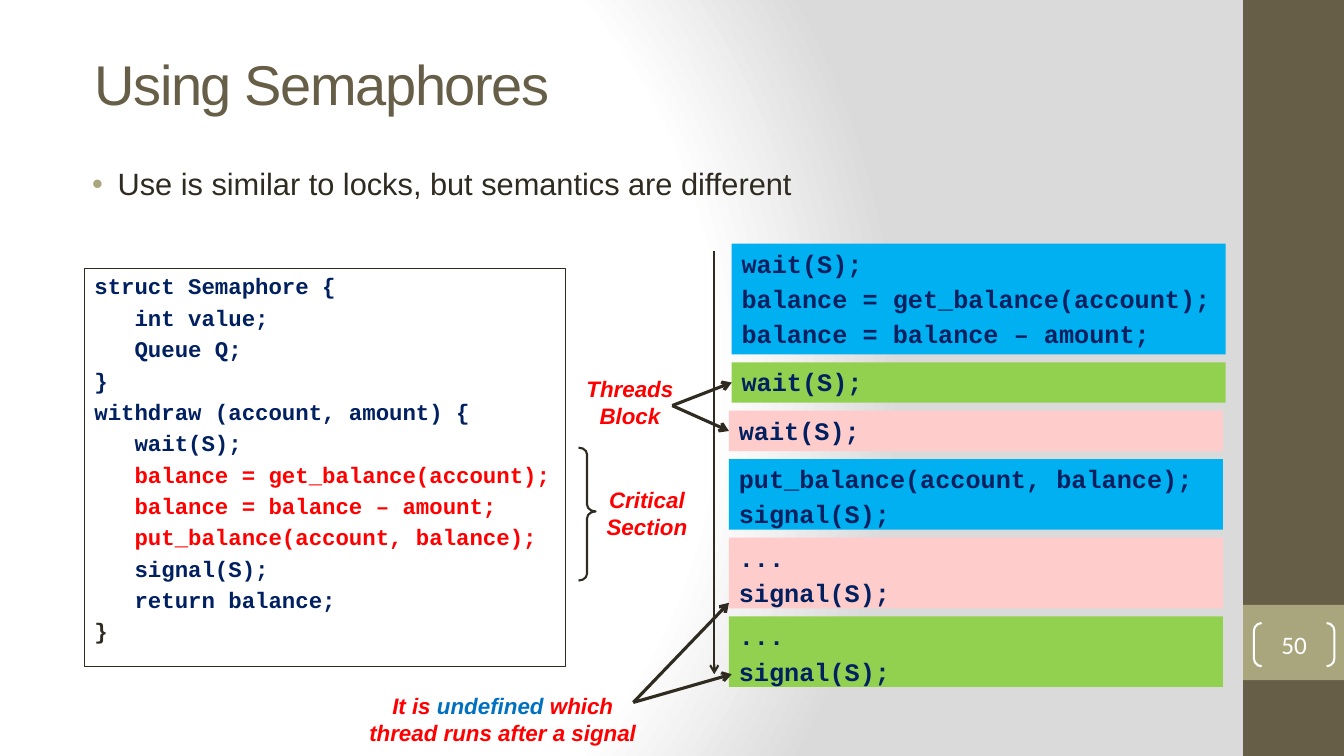
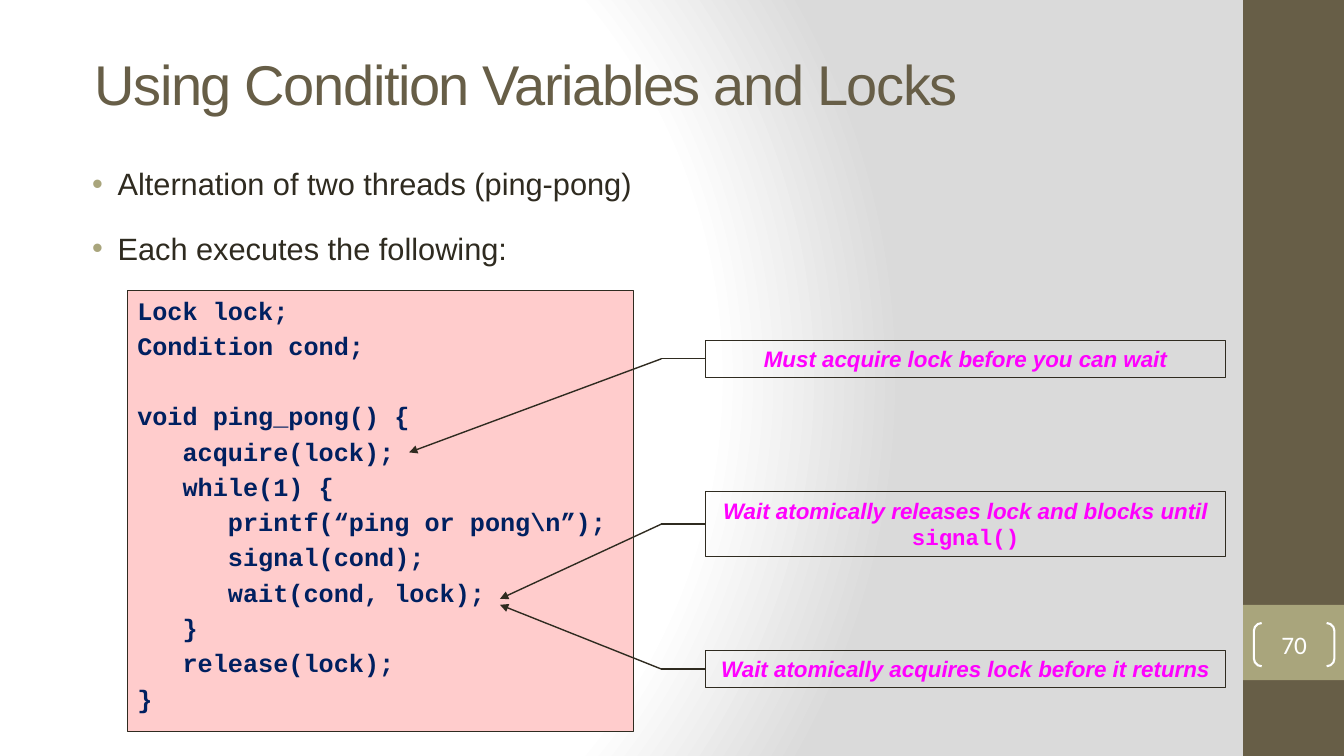
from dataclasses import dataclass
from typing import Optional

from lxml.etree import SubElement
from pptx import Presentation
from pptx.dml.color import RGBColor
from pptx.enum.shapes import MSO_CONNECTOR, MSO_SHAPE
from pptx.enum.text import MSO_ANCHOR as Anchor, MSO_AUTO_SIZE as AutoSize, PP_ALIGN as Align
from pptx.oxml import parse_xml
from pptx.oxml.ns import nsdecls, qn
from pptx.util import Cm, Pt

# Shared look
INK, BROWN, SAND, NAVY = "2F2B20", "675E47", "A9A57C", "002060"
RED, BLUE, MAGENTA, WHITE = "FF0000", "0070C0", "FF00FF", "FFFFFF"
SKY, GREEN, PINK = "00B0F0", "92D050", "FFCCCC"
SANS, MONO = "Arial", "Courier New"
LEFT_SIDE = 1

BACKGROUND = f"""<p:bg {nsdecls("p", "a")}><p:bgPr><a:gradFill rotWithShape="1"><a:gsLst>
<a:gs pos="0"><a:srgbClr val="FFFFFF"/></a:gs>
<a:gs pos="75000"><a:srgbClr val="FFFFFF"/></a:gs>
<a:gs pos="100000"><a:srgbClr val="DADADA"/></a:gs></a:gsLst>
<a:path path="circle"><a:fillToRect l="20000" t="50000" r="100000" b="50000"/></a:path>
</a:gradFill><a:effectLst/></p:bgPr></p:bg>"""


@dataclass(frozen=True)
class Box:
    """A rectangle in centimetres."""
    left: float
    top: float
    width: float
    height: float

    def lengths(self) -> tuple:
        return Cm(self.left), Cm(self.top), Cm(self.width), Cm(self.height)


@dataclass(frozen=True)
class CodeLines:
    """Consecutive lines of code in one colour."""
    lines: tuple
    color: str = NAVY


@dataclass(frozen=True)
class Span:
    """A piece of a note that may differ from the rest."""
    text: str
    color: Optional[str] = None
    font: Optional[str] = None
    italic: Optional[bool] = None


@dataclass(frozen=True)
class Step:
    """One thread's turn in the timeline."""
    left: float
    height: float
    fill: str
    lines: tuple


@dataclass(frozen=True)
class Callout:
    """A framed note and the point in the code it explains."""
    top: float
    height: float
    spans: tuple
    target: tuple


def rgb(color: str) -> RGBColor:
    return RGBColor.from_string(color)


def style_font(font, name: str, size: float, color: str, bold=None, italic=None) -> None:
    font.name, font.size, font.bold, font.italic = name, Pt(size), bold, italic
    font.color.rgb = rgb(color)


def add_box(slide, preset, box: Box, fill: Optional[str] = None,
            line: Optional[str] = None, line_width: float = 0.75):
    shape = slide.shapes.add_shape(preset, *box.lengths())
    shape.shadow.inherit = False
    if fill:
        shape.fill.solid()
        shape.fill.fore_color.rgb = rgb(fill)
    else:
        shape.fill.background()
    if line:
        shape.line.color.rgb = rgb(line)
        shape.line.width = Pt(line_width)
    else:
        shape.line.fill.background()
    return shape


def add_line(slide, start: tuple, end: tuple, width: float, arrow: Optional[str] = None):
    connector = slide.shapes.add_connector(
        MSO_CONNECTOR.STRAIGHT, *(Cm(value) for value in (*start, *end)))
    connector.line.color.rgb = rgb(INK)
    connector.line.width = Pt(width)
    properties = connector.element.find(qn("p:spPr"))
    if arrow:
        SubElement(properties.find(qn("a:ln")), qn("a:tailEnd"), type=arrow)
    SubElement(properties, qn("a:effectLst"))
    return connector


def add_code(slide, box: Box, size: float, parts: tuple,
             fill: Optional[str] = None, line: Optional[str] = None):
    shape = add_box(slide, MSO_SHAPE.RECTANGLE, box, fill, line)
    frame = shape.text_frame
    frame.word_wrap, frame.vertical_anchor = True, Anchor.TOP
    frame.margin_top = Cm(0.11)
    line_gap = size * 0.2
    line_pitch = size * 1.4
    paragraph, space = None, 0
    for part in parts:
        for text in part.lines:
            if not text:  # an empty line becomes space above the next one
                space += line_pitch
                continue
            paragraph = frame.add_paragraph() if paragraph else frame.paragraphs[0]
            paragraph.alignment = Align.LEFT
            paragraph.space_before = Pt(space)
            paragraph.add_run().text = text
            style_font(paragraph.font, MONO, size, part.color, bold=True)
            space = line_gap
    return shape


def add_note(slide, box: Box, spans: tuple, color: str, line: Optional[str] = None):
    if line:
        shape = add_box(slide, MSO_SHAPE.RECTANGLE, box, line=line)
    else:
        shape = slide.shapes.add_textbox(*box.lengths())
    frame = shape.text_frame
    frame.word_wrap, frame.vertical_anchor = True, Anchor.TOP
    paragraph = frame.paragraphs[0]
    paragraph.alignment = Align.CENTER
    style_font(paragraph.font, SANS, 16, color, bold=True, italic=True)
    for span in spans:
        run = paragraph.add_run()
        run.text = span.text
        if span.color:
            run.font.color.rgb = rgb(span.color)
        if span.font:
            run.font.name = span.font
        if span.italic is not None:
            run.font.italic = span.italic
    return shape


def fill_title(title, text: str) -> None:
    title.left, title.top, title.width, title.height = Box(2.13, 1.53, 27.71, 1.14).lengths()
    frame = title.text_frame
    frame.text = text
    frame.auto_size, frame.vertical_anchor = AutoSize.NONE, Anchor.MIDDLE
    paragraph = frame.paragraphs[0]
    paragraph.alignment = Align.LEFT
    style_font(paragraph.font, SANS, 40, BROWN)
    next(title.element.iter(qn("a:defRPr"))).set("spc", "-100")


def fill_bullets(body, bullets: tuple, height: float) -> None:
    body.left, body.top, body.width, body.height = Box(1.76, 4.04, 29.06, height).lengths()
    frame = body.text_frame
    frame.text = "\n".join(bullets)
    frame.auto_size, frame.vertical_anchor = AutoSize.NONE, Anchor.TOP
    frame.margin_top = Cm(0.12)
    for index, paragraph in enumerate(frame.paragraphs):
        properties = paragraph._p.get_or_add_pPr()
        properties.set("marL", str(Cm(0.95)))
        properties.set("indent", str(-Cm(0.64)))
        SubElement(SubElement(properties, qn("a:buClr")), qn("a:srgbClr"), val=SAND)
        SubElement(properties, qn("a:buChar"), char="•")
        paragraph.alignment = Align.LEFT
        paragraph.space_before = Pt(19.5 if index else 0)
        style_font(paragraph.font, SANS, 22, INK)


def add_page(presentation, title: str, bullets: tuple, body_height: float, number: int):
    """Add a slide with side band, page number, title and bullets."""
    slide = presentation.slides.add_slide(presentation.slide_layouts[1])
    add_box(slide, MSO_SHAPE.RECTANGLE, Box(31.33, 0, 2.54, 19.05), BROWN)
    add_box(slide, MSO_SHAPE.RECTANGLE, Box(31.33, 15.24, 2.54, 1.9), SAND)
    bracket = add_box(slide, MSO_SHAPE.DOUBLE_BRACKET, Box(31.6, 15.7, 2.03, 1.09),
                      line=WHITE, line_width=1.5)
    bracket.adjustments[0] = 0.18
    frame = bracket.text_frame
    frame.margin_left = frame.margin_top = frame.margin_right = frame.margin_bottom = 0
    frame.text = str(number)
    frame.paragraphs[0].alignment = Align.CENTER
    style_font(frame.paragraphs[0].font, "Calibri", 18, WHITE)
    fill_title(slide.shapes.title, title)
    fill_bullets(slide.placeholders[1], bullets, body_height)
    return slide


def build_semaphores(presentation) -> None:
    slide = add_page(presentation, "Using Semaphores",
                     ("Use is similar to locks, but semantics are different",), 1.35, 50)
    add_code(slide, Box(2.13, 6.76, 12.12, 10.03), 16, (
        CodeLines(("struct Semaphore {", "   int value;", "   Queue Q;", "}",
                   "withdraw (account, amount) {", "   wait(S);")),
        CodeLines(("   balance = get_balance(account);", "   balance = balance – amount;",
                   "   put_balance(account, balance);"), RED),
        CodeLines(("   signal(S);", "   return balance;")),
        CodeLines(("}",), INK)), line=INK)

    # Critical section
    brace = add_box(slide, MSO_SHAPE.RIGHT_BRACE, Box(14.58, 11.28, 0.43, 3.35),
                    line=INK, line_width=1.5)
    brace.adjustments[0], brace.adjustments[1] = 0.4, 0.48
    add_note(slide, Box(14.78, 12.12, 3.05, 1.63), (Span("Critical Section"),), RED)

    # Timeline of the three threads, stacked with equal gaps
    add_line(slide, (18, 6.32), (18, 16.99), 1.5, "arrow")
    steps = (
        Step(18.44, 2.79, SKY, ("wait(S);", "balance = get_balance(account);",
                                "balance = balance – amount;")),
        Step(18.44, 1.02, GREEN, ("wait(S);",)),
        Step(18.37, 1.02, PINK, ("wait(S);",)),
        Step(18.37, 1.78, SKY, ("put_balance(account, balance);", "signal(S);")),
        Step(18.37, 1.78, PINK, ("...", "signal(S);")),
        Step(18.37, 1.78, GREEN, ("...", "signal(S);")),
    )
    top, step_shapes = 6.14, []
    for step in steps:
        step_shapes.append(add_code(slide, Box(step.left, top, 12.45, step.height), 18,
                                    (CodeLines(step.lines),), fill=step.fill))
        top += step.height + 0.2

    # Notes with arrows to the timeline
    add_note(slide, Box(14.35, 9.32, 3.05, 1.63), (Span("Threads Block"),), RED)
    for blocked in step_shapes[1:3]:
        arrow = add_line(slide, (16.94, 10.22), (18.4, 10.22), 2.25, "arrow")
        arrow.end_connect(blocked, LEFT_SIDE)
    add_note(slide, Box(8.81, 17.32, 7.72, 1.63),
             (Span("It is "), Span("undefined", BLUE), Span(" which thread runs after a signal")),
             RED)
    for signal_point in ((18.37, 15.19), (18.44, 16.99)):
        add_line(slide, (15.96, 17.7), signal_point, 2.25, "arrow")


def build_condition_variables(presentation) -> None:
    slide = add_page(presentation, "Using Condition Variables and Locks",
                     ("Alternation of two threads (ping-pong)",
                      "Each executes the following:"), 3.28, 70)
    add_code(slide, Box(3.21, 7.32, 12.75, 11.11), 18, (CodeLines((
        "Lock lock;", "Condition cond;", "", "void ping_pong() {", "   acquire(lock);",
        "   while(1) {", r"      printf(“ping or pong\n”);", "      signal(cond);",
        "      wait(cond, lock);", "   }", "   release(lock);", "}")),), fill=PINK, line=INK)

    # Callouts, each with a bent leader into the code
    callouts = (
        Callout(8.57, 0.94, (Span("Must acquire lock before you can wait"),), (10.31, 11.4)),
        Callout(12.39, 1.63, (Span("Wait atomically releases lock and blocks until "),
                              Span("signal()", font=MONO, italic=False)), (12.6, 15.09)),
        Callout(16.39, 0.94, (Span("Wait atomically acquires lock before it returns"),),
                (12.6, 15.24)),
    )
    note_left, bend_left = 17.78, 16.67
    for callout in callouts:
        note = add_note(slide, Box(note_left, callout.top, 13.11, callout.height),
                        callout.spans, MAGENTA, INK)
        middle = callout.top + callout.height / 2
        bend = (bend_left, middle)
        leader = add_line(slide, (note_left, middle), bend, 1)
        leader.begin_connect(note, LEFT_SIDE)
        add_line(slide, bend, callout.target, 1, "triangle")


def main() -> None:
    presentation = Presentation()
    presentation.slide_width, presentation.slide_height = Cm(33.87), Cm(19.05)
    # Background on the master
    common = presentation.slide_master.element.find(qn("p:cSld"))
    for background in common.findall(qn("p:bg")):
        common.remove(background)
    common.insert(0, parse_xml(BACKGROUND))
    build_semaphores(presentation)
    build_condition_variables(presentation)
    presentation.save("out.pptx")


if __name__ == "__main__":
    main()
